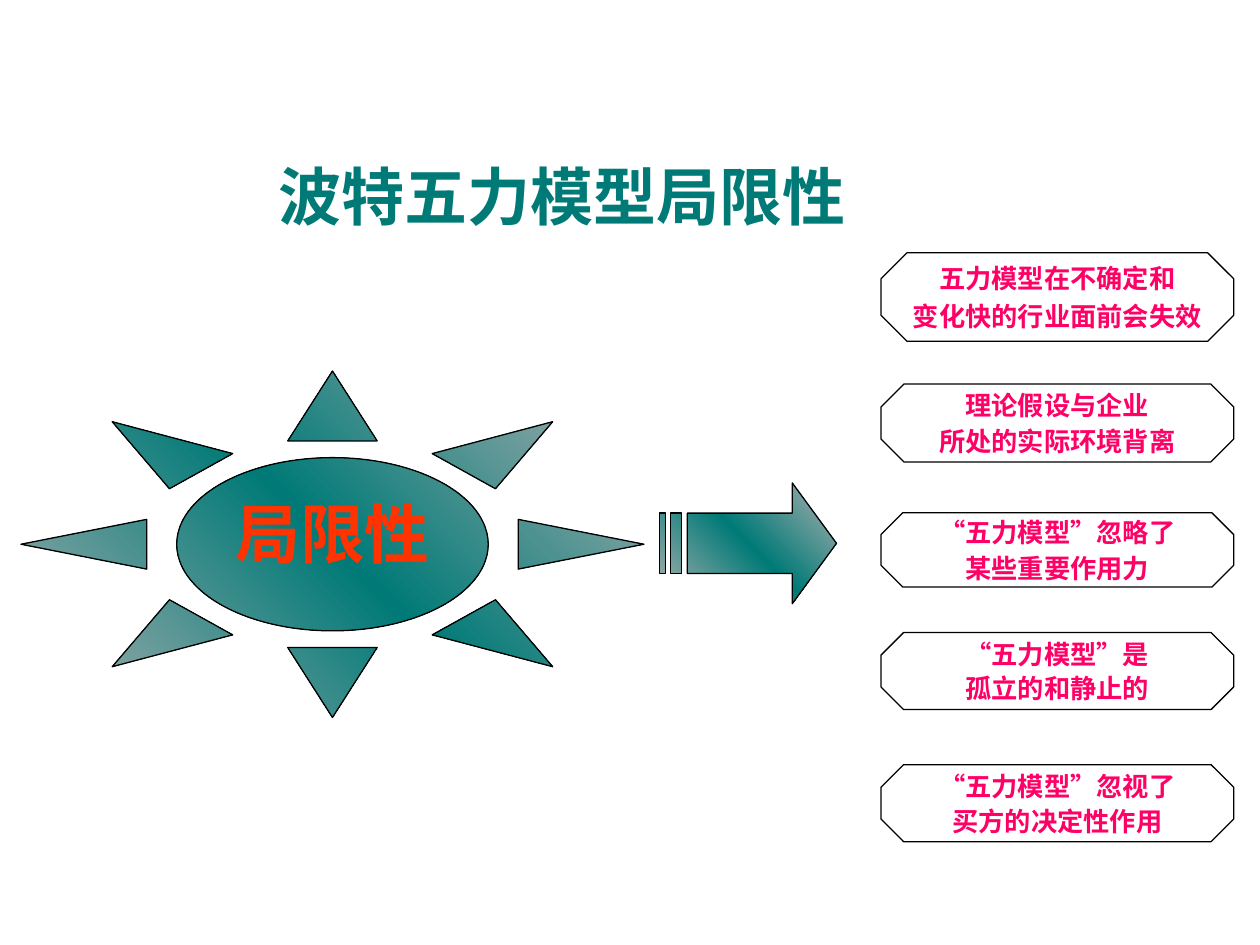
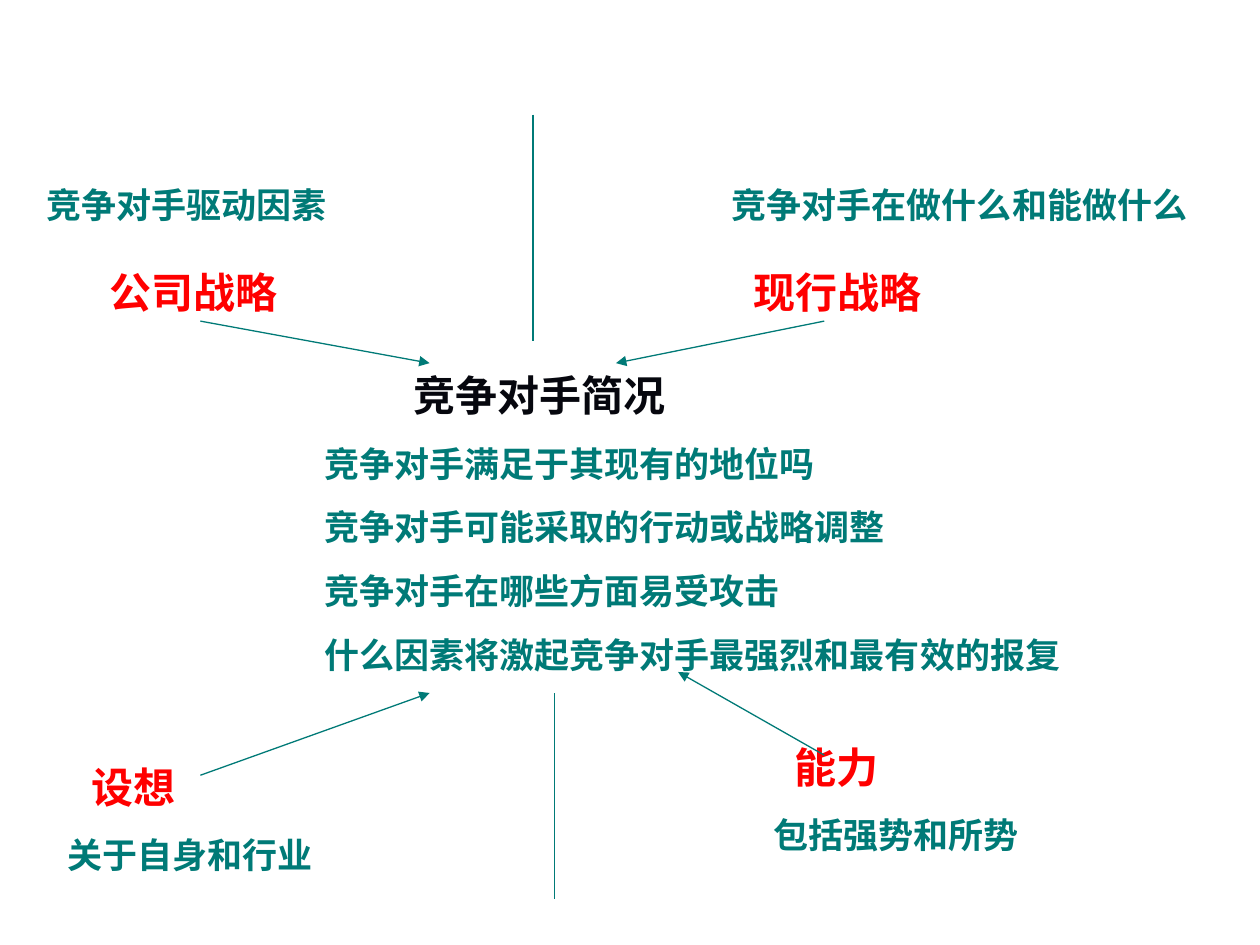
"""Build two slides on the limits of the five forces model and on competitor profiles."""
from dataclasses import dataclass
import copy
from typing import Any, NamedTuple, Optional, Sequence

import pptx
import pptx.dml.color
import pptx.enum.dml
import pptx.enum.lang
import pptx.enum.shapes
import pptx.enum.text
import pptx.oxml
import pptx.oxml.ns
import pptx.util

Pt = pptx.util.Pt
Align = pptx.enum.text.PP_ALIGN
Anchor = pptx.enum.text.MSO_ANCHOR
Preset = pptx.enum.shapes.MSO_SHAPE


@dataclass(frozen=True)
class Theme:
    teal: str = "007A77"
    silver: str = "B2B2B2"
    white: str = "FFFFFF"
    black: str = "000000"
    ink: str = "06070E"
    red: str = "FF0000"
    orange: str = "FF3300"
    pink: str = "FF0066"
    sans: str = "Arial"
    serif: str = "Times New Roman"
    hub_size: float = 37
    title_size: float = 36
    heading_size: float = 24
    body_size: float = 20
    card_size: float = 15
    stroke: float = 0.75


THEME = Theme()


class Box(NamedTuple):
    left: float
    top: float
    width: float
    height: float


class Line(NamedTuple):
    text: str
    size: float = THEME.body_size
    color: str = THEME.teal
    indent: float = 0


class Card(NamedTuple):
    top: float
    height: float
    gap: float
    lines: tuple[str, str]


class Label(NamedTuple):
    box: Box
    lines: tuple[Line, ...]


class Link(NamedTuple):
    start: tuple[float, float]
    end: tuple[float, float]
    arrow: bool = True


def heading(text: str, indent: float = 0) -> Line:
    """Return a large red label line."""
    return Line(text, THEME.heading_size, THEME.red, indent)


SUN = Box(12, 212, 356, 198)
ARROW = Box(377, 276, 101, 69)
ARROW_GRID = (32, 4)
ARROW_OUTLINES = (
    ((24, 0), (24, 1), (5, 1), (5, 3), (24, 3), (24, 4), (32, 2)),
    ((2, 1), (2, 3), (4, 3), (4, 1)),
    ((0, 1), (0, 3), (1, 3), (1, 1)),
)
CARD_LEFT, CARD_WIDTH = 503.5, 201.5
CARDS = (
    Card(144.5, 50.5, 3.7, ("五力模型在不确定和", "变化快的行业面前会失效")),
    Card(219.5, 44.5, 2.8, ("理论假设与企业", "所处的实际环境背离")),
    Card(293, 42.5, 2.8, ("“五力模型”忽略了", "某些重要作用力")),
    Card(361.5, 44, 1.8, ("“五力模型”是", "孤立的和静止的")),
    Card(437, 44, 1.8, ("“五力模型”忽视了", "买方的决定性作用")),
)
LABELS = (
    Label(Box(19.5, 101.5, 225.5, 31.5), (Line("竞争对手驱动因素"),)),
    Label(Box(55.5, 148.5, 154, 36), (heading("公司战略"),)),
    Label(Box(411, 101.5, 296.5, 31.5), (Line("竞争对手在做什么和能做什么"),)),
    Label(Box(423.5, 148.5, 296.5, 36), (heading("现行战略"),)),
    Label(Box(31.5, 431.5, 178, 72.5), (heading("设想", 13.5), Line("关于自身和行业"))),
    Label(Box(435, 420, 249, 72.5), (heading("能力", 12), Line("包括强势和所势"))),
)
QUESTIONS = (
    "竞争对手满足于其现有的地位吗",
    "竞争对手可能采取的行动或战略调整",
    "竞争对手在哪些方面易受攻击",
    "什么因素将激起竞争对手最强烈和最有效的报复",
)
LINKS = (
    Link((114.5, 183.5), (245.5, 207.5)),
    Link((471, 183.5), (352, 207.5)),
    Link((471, 431.5), (387.5, 384)),
    Link((114.5, 443), (245.5, 396)),
    Link((304.5, 65.5), (304.5, 195), arrow=False),
    Link((317, 396), (317, 513.5), arrow=False),
)


def rgb(value: str) -> pptx.dml.color.RGBColor:
    """Turn a hex string into a colour."""
    return pptx.dml.color.RGBColor.from_string(value)


def place(shape: Any, box: Box) -> None:
    """Move and size a shape."""
    shape.left, shape.top, shape.width, shape.height = map(Pt, box)


def write_text(
    shape: Any,
    lines: Sequence[Line],
    *,
    font: str = THEME.serif,
    align: Align = Align.LEFT,
    anchor: Anchor = Anchor.TOP,
    gap: float = 12.5,
    insets: tuple[float, float, float, float] = (7.2, 3.6, 7.2, 3.6),
    wrap: bool = True,
) -> None:
    """Write bold unbulleted lines, one paragraph each, into a shape."""
    frame = shape.text_frame
    frame.auto_size = pptx.enum.text.MSO_AUTO_SIZE.NONE
    frame.word_wrap = wrap
    frame.vertical_anchor = anchor
    frame.margin_left, frame.margin_top, frame.margin_right, frame.margin_bottom = map(Pt, insets)
    for index, line in enumerate(lines):
        paragraph = frame.add_paragraph() if index else frame.paragraphs[0]
        paragraph.alignment = align
        paragraph.space_before = Pt(gap if index else 0)
        properties = paragraph._p.get_or_add_pPr()
        properties.set("marL", str(Pt(line.indent)))
        properties.set("indent", "0")
        properties.append(pptx.oxml.parse_xml(f"<a:buNone {pptx.oxml.ns.nsdecls('a')}/>"))
        run = paragraph.add_run()
        run.text = line.text
        run.font.name = font
        run.font.size = Pt(line.size)
        run.font.bold = True
        run.font.color.rgb = rgb(line.color)
        run.font.language_id = pptx.enum.lang.MSO_LANGUAGE_ID.SIMPLIFIED_CHINESE


def outline(shape: Any) -> None:
    """Give a shape a thin black line and no shadow."""
    shape.shadow.inherit = False
    shape.line.color.rgb = rgb(THEME.black)
    shape.line.width = Pt(THEME.stroke)


def fill_sheen(shape: Any) -> None:
    """Fill a shape with a diagonal silver, teal, silver gradient."""
    shape.fill.gradient()
    shape.fill.gradient_angle = 45
    stop_list = shape._element.spPr.find(".//" + pptx.oxml.ns.qn("a:gsLst"))
    stop_list.append(copy.deepcopy(stop_list[0]))
    colors = (THEME.silver, THEME.teal, THEME.silver)
    for index, (stop, color) in enumerate(zip(shape.fill.gradient_stops, colors)):
        stop.position = index / 2
        stop.color.rgb = rgb(color)


def add_preset(slide: Any, preset: Preset, box: Box, adjustment: float) -> Any:
    """Add an outlined preset shape."""
    shape = slide.shapes.add_shape(preset, *map(Pt, box))
    shape.adjustments[0] = adjustment
    outline(shape)
    return shape


def add_striped_arrow(slide: Any, box: Box) -> None:
    """Add a right arrow with two stripes behind it."""
    columns, rows = ARROW_GRID
    scale = (Pt(box.width) / columns, Pt(box.height) / rows)
    builder: Optional[Any] = None
    for start, *points in ARROW_OUTLINES:
        if builder is None:
            builder = slide.shapes.build_freeform(*start, scale=scale)
        else:
            builder.move_to(*start)
        builder.add_line_segments(points, close=True)
    shape = builder.convert_to_shape(Pt(box.left), Pt(box.top))
    outline(shape)
    fill_sheen(shape)


def add_card(slide: Any, card: Card) -> None:
    """Add an octagon with two centred lines."""
    box = Box(CARD_LEFT, card.top, CARD_WIDTH, card.height)
    shape = add_preset(slide, Preset.OCTAGON, box, 0.293)
    shape.fill.solid()
    shape.fill.fore_color.rgb = rgb(THEME.white)
    lines = [Line(text, THEME.card_size, THEME.pink) for text in card.lines]
    write_text(shape, lines, font=THEME.sans, align=Align.CENTER,
               anchor=Anchor.MIDDLE, gap=card.gap, insets=(0, 0, 0, 0))


def add_link(slide: Any, link: Link) -> None:
    """Add a thin teal line, with an arrowhead if asked."""
    connector = slide.shapes.add_connector(
        pptx.enum.shapes.MSO_CONNECTOR.STRAIGHT, *map(Pt, link.start + link.end))
    connector.line.color.rgb = rgb(THEME.teal)
    connector.line.width = Pt(THEME.stroke)
    namespace = pptx.oxml.ns.nsdecls("a")
    if link.arrow:
        connector.line._get_or_add_ln().append(
            pptx.oxml.parse_xml(f'<a:tailEnd {namespace} type="triangle"/>'))
    connector._element.spPr.append(pptx.oxml.parse_xml(f"<a:effectLst {namespace}/>"))


def build_limits(presentation: Any) -> None:
    """Build the slide on the limits of the model."""
    slide = presentation.slides.add_slide(presentation.slide_layouts[5])
    title = slide.shapes.title
    place(title, Box(100, 29.5, 464.5, 115))
    write_text(title, [Line("波特五力模型局限性", THEME.title_size)], font=THEME.sans,
               align=Align.CENTER, anchor=Anchor.BOTTOM, insets=(0, 0, 22, 11.5))
    sun = add_preset(slide, Preset.SUN, SUN, 0.25)
    fill_sheen(sun)
    write_text(sun, [Line("局限性", THEME.hub_size, THEME.orange)], font=THEME.sans,
               align=Align.CENTER, anchor=Anchor.MIDDLE, insets=(0, 0, 0, 13.5), wrap=False)
    add_striped_arrow(slide, ARROW)
    for card in CARDS:
        add_card(slide, card)


def build_profile(presentation: Any) -> None:
    """Build the slide on the competitor profile."""
    slide = presentation.slides.add_slide(presentation.slide_layouts[1])
    title, questions = slide.shapes.title, slide.placeholders[1]
    place(title, Box(229, 207.5, 168, 36))
    write_text(title, [Line("竞争对手简况", THEME.heading_size, THEME.ink)])
    place(questions, Box(178, 249, 490, 140.5))
    write_text(questions, [Line(text) for text in QUESTIONS])
    for label in LABELS:
        write_text(slide.shapes.add_textbox(*map(Pt, label.box)), label.lines)
    for link in LINKS:
        add_link(slide, link)


def main() -> None:
    """Build and save the presentation."""
    presentation = pptx.Presentation()
    presentation.slide_width, presentation.slide_height = Pt(720), Pt(540)
    build_limits(presentation)
    build_profile(presentation)
    presentation.save("out.pptx")


if __name__ == "__main__":
    main()
